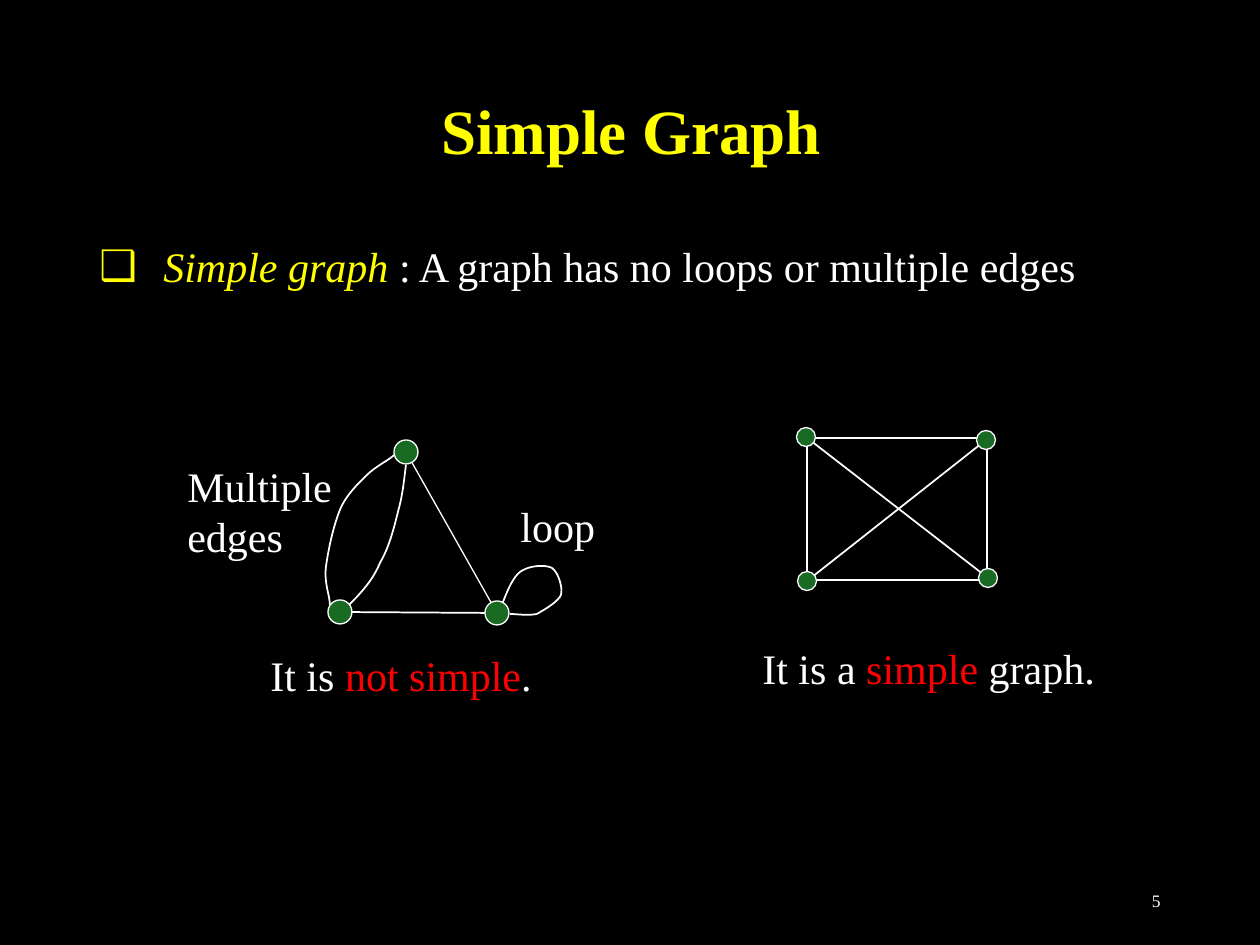
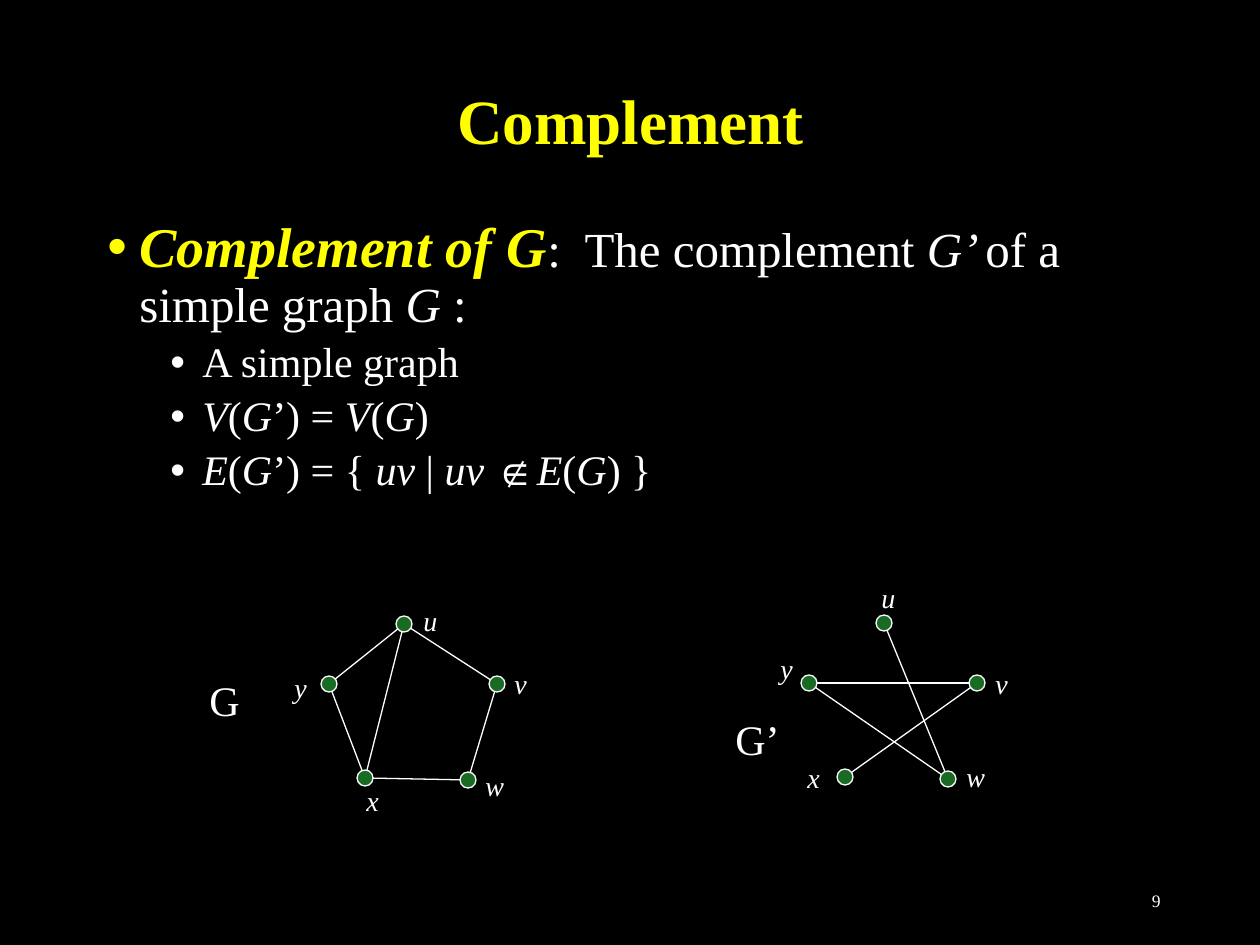
from pptx import Presentation
from pptx.dml.color import RGBColor
from pptx.enum.shapes import MSO_CONNECTOR, MSO_SHAPE
from pptx.enum.text import MSO_ANCHOR, PP_ALIGN
from pptx.oxml.ns import qn
from pptx.util import Pt
from lxml.etree import SubElement

SCALE = 914400 / 126
FONT = "Times New Roman"
BLACK, WHITE, YELLOW = "000000", "FFFFFF", "FFFF00"
RED, GREEN = "FF0000", "196B24"


def px(n):
    return round(n * SCALE)


def tint(text):
    return RGBColor.from_string(text)


# Text
def bullet(par, char, color, left, hang):
    props = par._p.get_or_add_pPr()
    props.set("marL", str(px(left)))
    props.set("indent", str(-px(hang)))
    paint = SubElement(props, qn("a:buClr"))
    SubElement(paint, qn("a:srgbClr")).set("val", color)
    SubElement(props, qn("a:buFont")).set("typeface", "Arial")
    SubElement(props, qn("a:buChar")).set("char", char)


def style(font, size=None, color=None, bold=None, italic=None, name=None):
    if size:
        font.size = Pt(size)
    if color:
        font.color.rgb = tint(color)
    if name:
        font.name = name
    if bold is not None:
        font.bold = bold
    if italic is not None:
        font.italic = italic


def write(par, runs, size, color=WHITE, **look):
    """Fill a paragraph; each run is a string or (string, own style)."""
    style(par.font, size, color, name=FONT, **look)
    for item in runs:
        words, own = (item, {}) if isinstance(item, str) else item
        run = par.add_run()
        run.text = words
        style(run.font, **own)


def frame(slide, x, y, w, h, anchor=MSO_ANCHOR.TOP):
    text = slide.shapes.add_textbox(px(x), px(y), px(w), px(h)).text_frame
    text.word_wrap = True
    text.vertical_anchor = anchor
    return text


def label(slide, x, y, w, h, *runs, size=24, **look):
    par = frame(slide, x, y, w, h).paragraphs[0]
    write(par, runs, size, **look)


# Graph parts
def pen(shape, width):
    shape.line.color.rgb = tint(WHITE)
    shape.line.width = Pt(width)


def edge(slide, start, end, width=0.75):
    line = slide.shapes.add_connector(
        MSO_CONNECTOR.STRAIGHT, *(px(n) for n in (*start, *end)))
    pen(line, width)
    SubElement(line._element.spPr, qn("a:effectLst"))


def node(slide, center, size):
    x, y = center
    dot = slide.shapes.add_shape(MSO_SHAPE.OVAL, px(x - size / 2),
                                 px(y - size / 2), px(size), px(size))
    dot.shadow.inherit = False
    dot.fill.solid()
    dot.fill.fore_color.rgb = tint(GREEN)
    pen(dot, 0.75)


def curve(slide, points, steps=10):
    """Draw a chain of cubic arcs, three new points for each arc."""
    trace = [points[0]]
    for i in range(0, len(points) - 1, 3):
        arc = points[i:i + 4]
        for k in range(1, steps + 1):
            t = k / steps
            parts = ((1 - t) ** 3, 3 * t * (1 - t) ** 2,
                     3 * t * t * (1 - t), t ** 3)
            trace.append(tuple(sum(f * p[axis] for f, p in zip(parts, arc))
                               for axis in (0, 1)))
    dots = [(px(x), px(y)) for x, y in trace]
    build = slide.shapes.build_freeform(*dots[0], scale=1.0)
    build.add_line_segments(dots[1:], close=False)
    shape = build.convert_to_shape()
    shape.shadow.inherit = False
    shape.fill.background()
    pen(shape, 1)


def shift(points, x, y):
    return [(x + a, y + b) for a, b in points]


# Shared page: background, title, page number
def page(deck, title, box, number, pitch=1.0):
    slide = deck.slides.add_slide(deck.slide_layouts[6])
    fill = slide.background.fill
    fill.solid()
    fill.fore_color.rgb = tint(BLACK)
    head = frame(slide, *box, MSO_ANCHOR.MIDDLE).paragraphs[0]
    head.alignment = PP_ALIGN.CENTER
    head.line_spacing = pitch
    write(head, [title], 36, YELLOW, bold=True)
    foot = frame(slide, 890, 876, 283, 50, MSO_ANCHOR.MIDDLE).paragraphs[0]
    foot.alignment = PP_ALIGN.RIGHT
    write(foot, [number], 10)
    return slide


# Slide 1 regions
ARCS = [
    [(68, 15), (65, 19), (52, 25), (42, 34), (33, 43), (20, 55), (14, 70),
     (7, 87), (2, 112), (0, 127), (-2, 143), (4, 156), (4, 165)],
    [(80, 25), (78, 40), (77, 54), (72, 72), (68, 88), (63, 108), (54, 123),
     (47, 140), (36, 152), (23, 165)],
    [(177, 162), (179, 157), (186, 138), (194, 132), (202, 126), (218, 124),
     (226, 128), (232, 132), (237, 147), (235, 155), (232, 162), (218, 170),
     (211, 174), (202, 176), (189, 174), (184, 174)],
]


def multi(slide, x, y):
    """Graph with a double edge and a loop."""
    top, left, right = nodes = shift([(80, 12), (14, 172), (171, 173)], x, y)
    edge(slide, left, right, 1)
    edge(slide, top, right)
    for arc in ARCS:
        curve(slide, shift(arc, x, y))
    for spot in nodes:
        node(slide, spot, 24)
    text = frame(slide, x - 151, y + 14, 190, 113)
    write(text.paragraphs[0], ["Multiple"], 24)
    write(text.add_paragraph(), ["edges"], 24)
    label(slide, x + 182, y + 54, 112, 63, "loop")
    label(slide, x - 68, y + 203, 306, 63,
          "It is ", ("not simple", {"color": RED}), ".")


def square(slide, x, y):
    """Complete graph on four nodes."""
    side = slide.shapes.add_shape(MSO_SHAPE.RECTANGLE,
                                  px(x), px(y), px(180), px(142))
    side.shadow.inherit = False
    side.fill.background()
    pen(side, 1)
    nodes = shift([(-1, -1), (179, 2), (181, 140), (0, 143)], x, y)
    for a, b in zip(nodes[:2], nodes[2:]):
        edge(slide, a, b, 1)
    for spot in nodes:
        node(slide, spot, 19)
    label(slide, x - 57, y + 198, 373, 63,
          "It is a ", ("simple", {"color": RED}), " graph.")


def simple(deck):
    slide = page(deck, "Simple Graph", (66, 64, 1130, 130), "5")
    par = frame(slide, 87, 222, 1119, 130).paragraphs[0]
    bullet(par, "❑", YELLOW, 64, 64)
    par.line_spacing = 1.25
    write(par, [("Simple graph ", {"color": YELLOW, "italic": True}),
                ": A graph has no loops or multiple edges"], 24)
    multi(slide, 326, 440)
    square(slide, 807, 438)


# Slide 2 regions
NODES = {"u": (75, 1), "v": (168, 61), "w": (139, 157),
         "x": (36, 155), "y": (0, 61)}


def penta(slide, x, y, name, spot, edges, tags):
    """Five-node graph; tags give the label place of each node."""
    spots = dict(zip(NODES, shift(NODES.values(), x, y)))
    for a, b in edges.split():
        edge(slide, spots[a], spots[b])
    for center in spots.values():
        node(slide, center, 16)
    for letter, (a, b) in zip(NODES, shift(tags, x, y)):
        label(slide, a, b, 49, 48, letter, size=16, italic=True)
    label(slide, x + spot[0], y + spot[1], 92, 63, name)


def slant(text):
    return text, {"italic": True}


def points(slide, x, y):
    text = frame(slide, x, y, 1071, 626)
    lead = text.paragraphs[0]
    bullet(lead, "•", YELLOW, 32, 32)
    lead.line_spacing = 0.9
    key = {"size": 32, "color": YELLOW, "bold": True, "italic": True}
    write(lead, [("Complement of G", key), ":  The complement ",
                 slant("G’ "), "of a simple graph ", slant("G"), " :"], 28)
    facts = [
        ["A simple graph"],
        [slant("V"), "(", slant("G"), "’) = ", slant("V"), "(",
         slant("G"), ")"],
        [slant("E"), "(", slant("G"), "’) = { ", slant("uv"), " | ",
         slant("uv "), ("∉", {"name": "Arial"}), slant("E"), "(",
         slant("G"), ") }"],
    ]
    for runs in facts:
        par = text.add_paragraph()
        par.level = 1
        bullet(par, "•", WHITE, 95, 32)
        par.line_spacing = 0.9
        par.space_before = Pt(5)
        write(par, runs, 24)


def inverse(deck):
    slide = page(deck, "Complement", (95, 73, 1071, 102), "9", 0.9)
    points(slide, 95, 213)
    penta(slide, 329, 623, "G", (-132, 45), "uy yx xw wv uv ux",
          [(82, -26), (173, 37), (144, 139), (25, 154), (-47, 41)])
    penta(slide, 809, 622, "G’", (-86, 85), "yw xv yv uw",
          [(60, -48), (174, 38), (145, 131), (-14, 132), (-41, 23)])


def main():
    deck = Presentation()
    deck.slide_width, deck.slide_height = px(1260), px(945)
    simple(deck)
    inverse(deck)
    deck.save("out.pptx")


if __name__ == "__main__":
    main()
